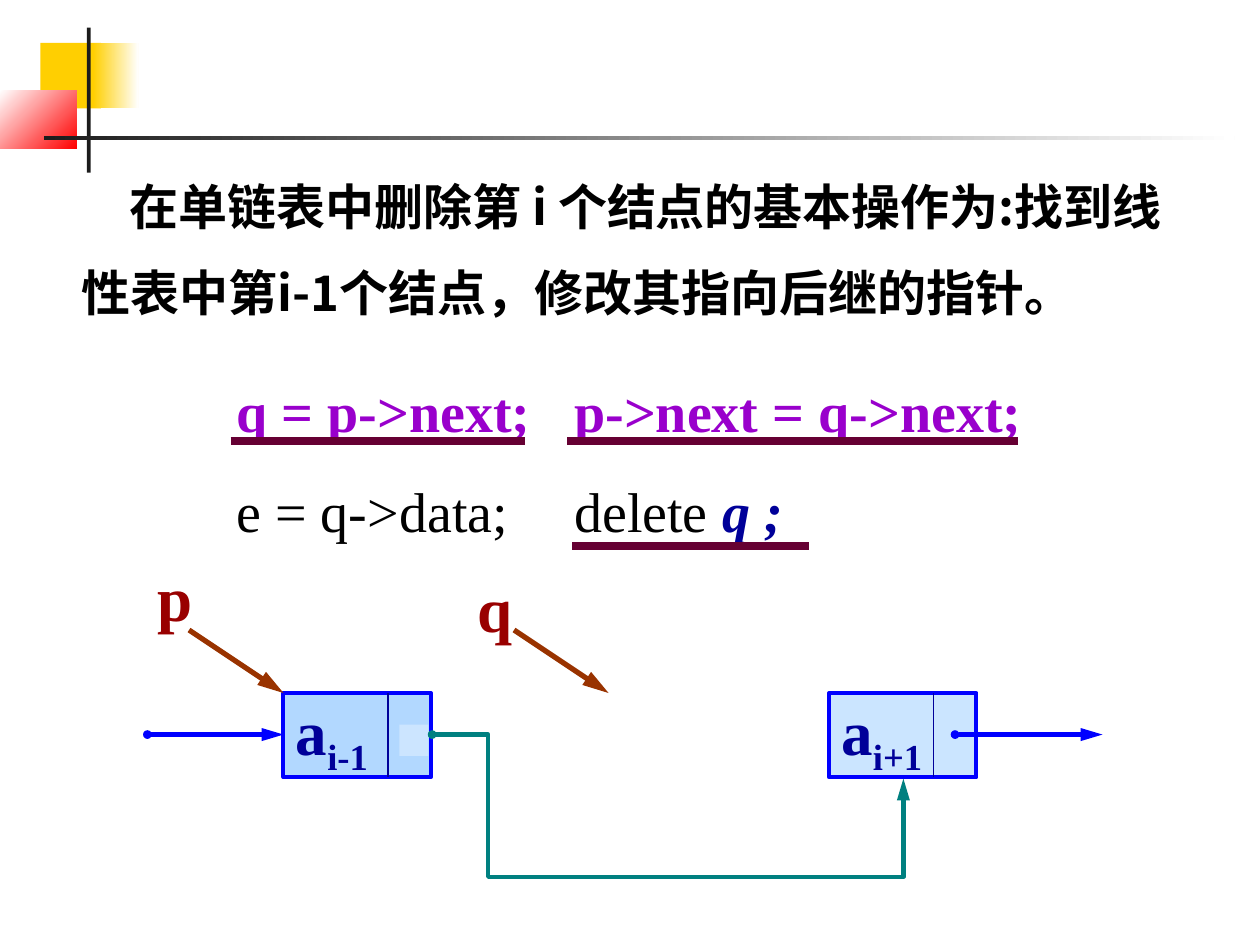
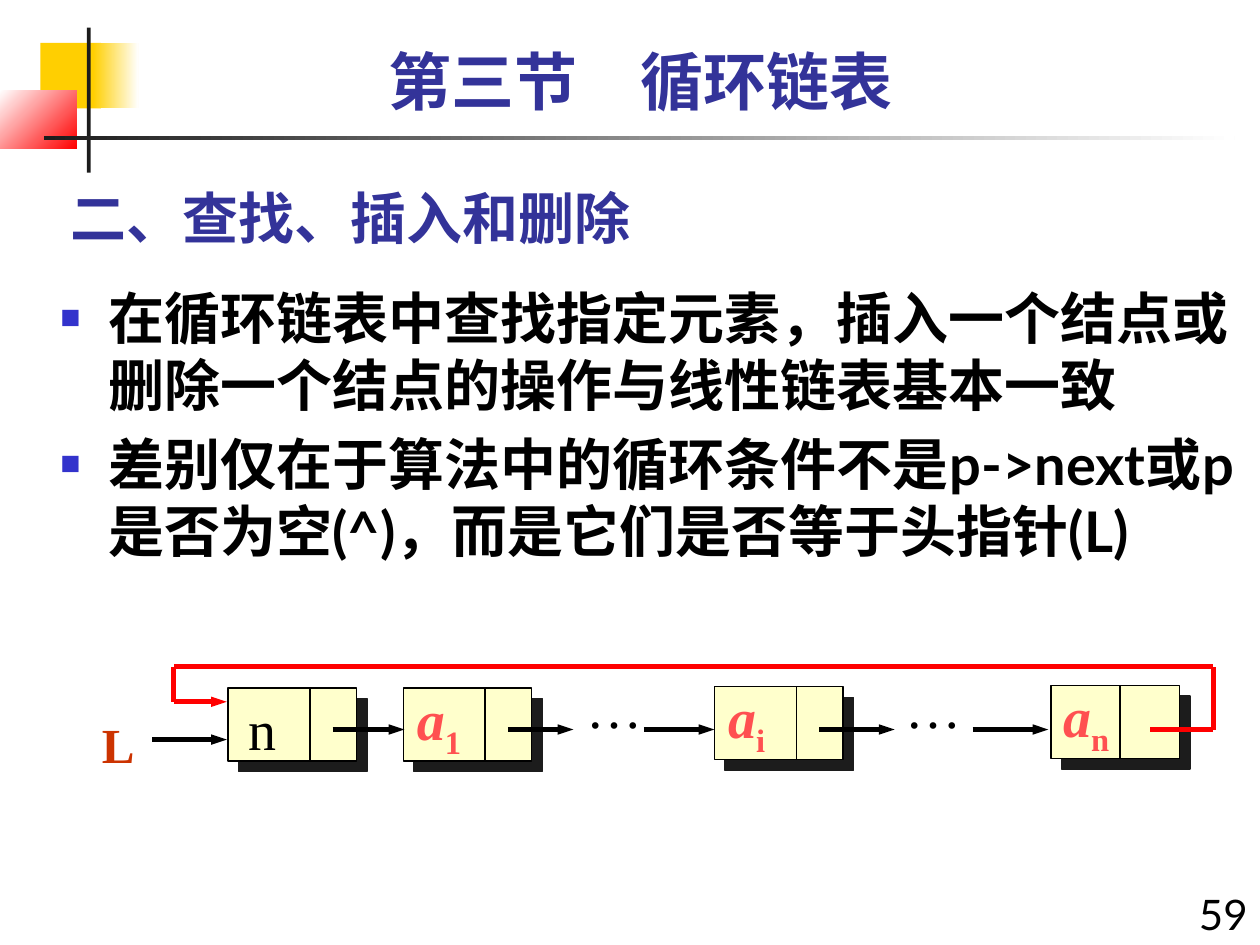
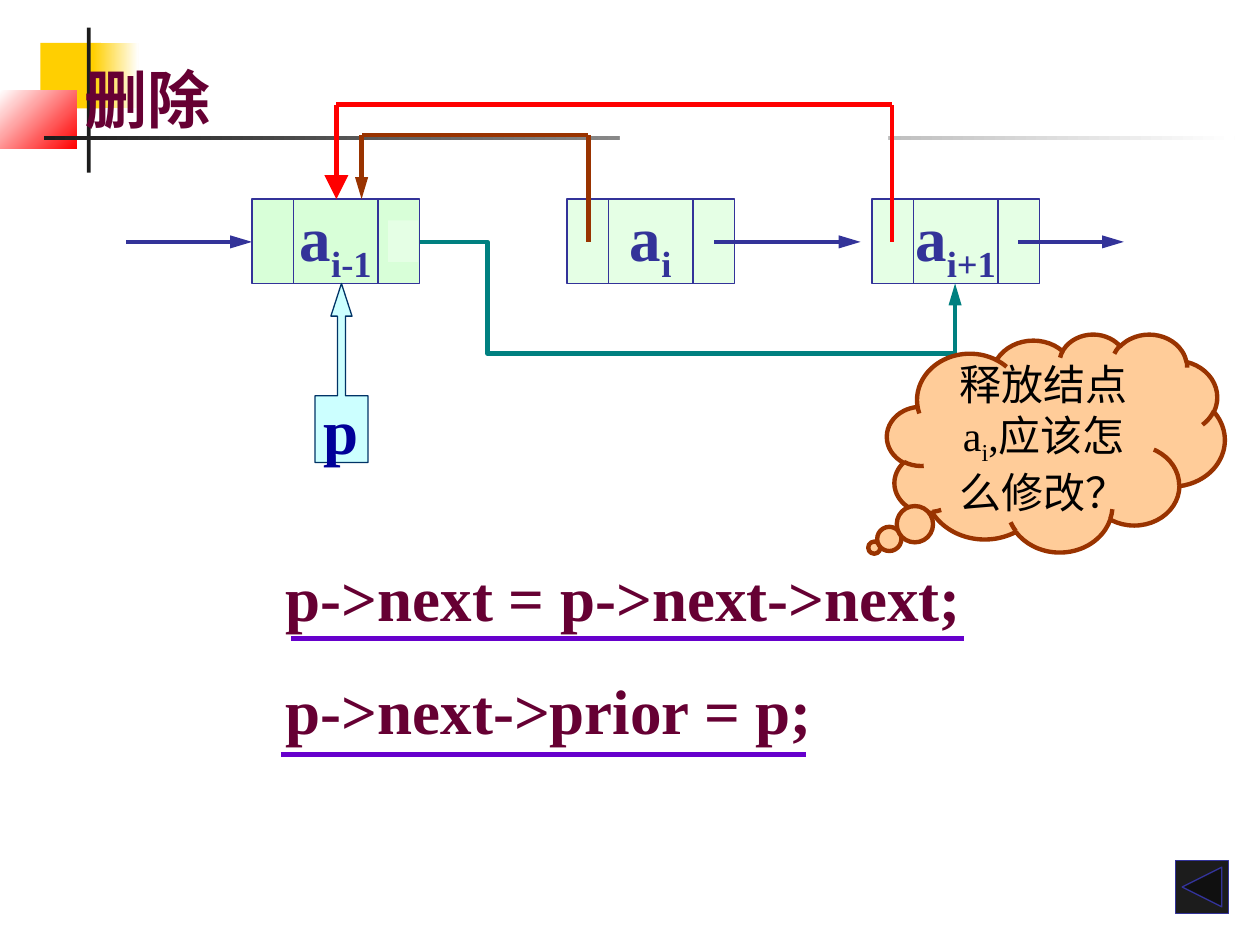
from dataclasses import dataclass
from itertools import pairwise
from typing import Optional

from lxml import etree
from pptx import Presentation
from pptx.dml.color import RGBColor
from pptx.enum import shapes, text
from pptx.oxml.ns import qn
from pptx.util import Inches, Pt

SHAPE = shapes.MSO_SHAPE
ALIGN = text.PP_ALIGN
ANCHOR = text.MSO_ANCHOR

TIMES, LATO, CJK = "Times New Roman", "Lato", "Noto Sans CJK SC"

BLACK = RGBColor(0x00, 0x00, 0x00)
WHITE = RGBColor(0xFF, 0xFF, 0xFF)
CHARCOAL = RGBColor(0x1C, 0x1C, 0x1C)
GOLD = RGBColor(0xFF, 0xCF, 0x01)
RED = RGBColor(0xFF, 0x00, 0x00)
BLUE = RGBColor(0x00, 0x00, 0xFF)
NAVY = RGBColor(0x00, 0x00, 0x99)
INDIGO = RGBColor(0x33, 0x33, 0x99)
BULLET_BLUE = RGBColor(0x33, 0x33, 0xCC)
PURPLE = RGBColor(0x99, 0x00, 0xCC)
VIOLET = RGBColor(0x66, 0x00, 0xCC)
MAROON = RGBColor(0x66, 0x00, 0x33)
DARK_RED = RGBColor(0x99, 0x00, 0x00)
BROWN = RGBColor(0x99, 0x33, 0x00)
RUST = RGBColor(0xCC, 0x33, 0x00)
CORAL = RGBColor(0xFF, 0x50, 0x50)
TEAL = RGBColor(0x00, 0x80, 0x80)
DEEP_BLUE = RGBColor(0x00, 0x33, 0x66)
SKY = RGBColor(0x99, 0xCC, 0xFF)
PALE_SKY = RGBColor(0xCC, 0xE5, 0xFF)
MINT = RGBColor(0xCC, 0xFF, 0xCC)
PALE_MINT = RGBColor(0xE5, 0xFF, 0xE5)
CREAM = RGBColor(0xFF, 0xFF, 0xCC)
AQUA = RGBColor(0xCC, 0xFF, 0xFF)
PEACH = RGBColor(0xFF, 0xCC, 0x99)

# Arrow ends: type, width, length
ARROW = ("triangle", "med", "lg")
SMALL_ARROW = ("triangle", "sm", "med")
LARGE_ARROW = ("triangle", "lg", "lg")
DOT = ("oval", "sm", "sm")


@dataclass
class Span:
    text: str
    sub: bool = False
    bold: Optional[bool] = None
    italic: Optional[bool] = None
    color: Optional[RGBColor] = None


def indexed(base, index, **style):
    return [Span(base, **style), Span(index, sub=True)]


def add_xml(parent, tag, **attributes):
    child = etree.SubElement(parent, qn(tag))
    for name, value in attributes.items():
        child.set(name, str(value))
    return child


def write(para, content, size, color, font=TIMES, bold=True, align=ALIGN.LEFT,
          spacing=None):
    """Fill a paragraph from a string or a list of spans."""
    spans = [Span(content)] if isinstance(content, str) else content
    para.alignment = align
    para.line_spacing = spacing
    para.font.size = Pt(size)
    para.font.bold = bold
    para.font.color.rgb = color
    para.font.name = font
    if any(ord(letter) > 0x2E80 for span in spans for letter in span.text):
        add_xml(para._p.pPr.find(qn("a:defRPr")), "a:ea", typeface=CJK)
    for span in spans:
        run = para.add_run()
        run.text = span.text
        if span.bold is not None:
            run.font.bold = span.bold
        if span.italic is not None:
            run.font.italic = span.italic
        if span.color is not None:
            run.font.color.rgb = span.color
        if span.sub:
            run._r.get_or_add_rPr().set("baseline", "-25000")


def insert_in_paragraph(para, elements):
    """Put bullet or tab elements in front of the paragraph's default font."""
    for element in elements:
        para._p.pPr.find(qn("a:defRPr")).addprevious(element)


def set_bullet(para):
    properties = para._p.pPr
    properties.set("marL", str(Inches(0.38)))
    properties.set("indent", str(Inches(-0.38)))
    color = etree.Element(qn("a:buClr"))
    add_xml(color, "a:srgbClr", val=BULLET_BLUE)
    size = etree.Element(qn("a:buSzPct"), val="60000")
    mark = etree.Element(qn("a:buChar"), char="■")
    insert_in_paragraph(para, [color, size, mark])


def set_tab(para, position):
    tabs = etree.Element(qn("a:tabLst"))
    add_xml(tabs, "a:tab", pos=Inches(position), algn="l")
    insert_in_paragraph(para, [tabs])


def place(shape, area):
    shape.left, shape.top, shape.width, shape.height = map(Inches, area)


def add_text(slide, area, lines, size, color, wrap=False, **style):
    box = slide.shapes.add_textbox(*map(Inches, area))
    frame = box.text_frame
    frame.word_wrap = wrap
    frame.auto_size = text.MSO_AUTO_SIZE.SHAPE_TO_FIT_TEXT
    for number, line in enumerate(lines):
        para = frame.add_paragraph() if number else frame.paragraphs[0]
        write(para, line, size, color, **style)
    return box


def add_box(slide, area, fill, line=None, width=0.75, kind=SHAPE.RECTANGLE,
            opacity=None, adjust=()):
    """Add a preset shape; a pair of fill colours makes a gradient."""
    box = slide.shapes.add_shape(kind, *map(Inches, area))
    box.shadow.inherit = False
    for number, value in enumerate(adjust):
        box.adjustments[number] = value
    if isinstance(fill, RGBColor):
        box.fill.solid()
        box.fill.fore_color.rgb = fill
    else:
        box.fill.gradient()
        box.fill.gradient_angle = 0
        for stop, color in zip(box.fill.gradient_stops, fill):
            stop.color.rgb = color
    if opacity:
        color = box.element.spPr.find(qn("a:solidFill")).find(qn("a:srgbClr"))
        add_xml(color, "a:alpha", val=opacity * 1000)
    if line is None:
        box.line.fill.background()
    else:
        box.line.color.rgb = line
        box.line.width = Pt(width)
    return box


def label(box, content, size, color, wrap=False, **style):
    """Write centred-height text inside a shape."""
    box.text_frame.word_wrap = wrap
    box.text_frame.vertical_anchor = ANCHOR.MIDDLE
    write(box.text_frame.paragraphs[0], content, size, color, **style)


def add_line(slide, start, end, color, width, head=None, tail=None,
             kind=shapes.MSO_CONNECTOR.STRAIGHT):
    line = slide.shapes.add_connector(kind, *map(Inches, (*start, *end)))
    line.line.color.rgb = color
    line.line.width = Pt(width)
    properties = line.element.spPr
    outline = properties.find(qn("a:ln"))
    for tag, tip in (("a:headEnd", head), ("a:tailEnd", tail)):
        if tip:
            add_xml(outline, tag, **dict(zip(("type", "w", "len"), tip)))
    add_xml(properties, "a:effectLst")
    return line


def add_route(slide, points, color, width, tail=None):
    """Join points by straight lines, with the arrow on the last one."""
    legs = list(pairwise(points))
    for leg in legs:
        add_line(slide, *leg, color, width, tail=tail if leg == legs[-1] else None)


def add_bypass(slide, start, end, bends, head=None):
    """Add the teal link that runs below the deleted node."""
    link = add_line(slide, start, end, TEAL, 2.5, head=head, tail=ARROW,
                    kind=shapes.MSO_CONNECTOR.ELBOW)
    geometry = link.element.spPr.find(qn("a:prstGeom"))
    geometry.set("prst", "bentConnector4")
    guides = geometry.find(qn("a:avLst"))
    if guides is None:
        guides = add_xml(geometry, "a:avLst")
    for number, bend in enumerate(bends, 1):
        add_xml(guides, "a:gd", name=f"adj{number}", fmla=f"val {round(bend * 100000)}")


def add_dividers(slide, area, offsets, color):
    left, top, _, height = area
    for offset in offsets:
        x = left + offset
        add_line(slide, (x, top), (x, top + height), color, 0.75)


def add_single_node(slide, left, index, opacity):
    area = (left, 5.5, 1.17, 0.67)
    box = add_box(slide, area, SKY, BLUE, 2.25, opacity=opacity)
    label(box, indexed("a", index), 36, NAVY)
    add_dividers(slide, area, [0.83], NAVY)


def add_double_node(slide, left, index, opacity=50):
    area = (left, 1.58, 1.33, 0.67)
    box = add_box(slide, area, MINT, INDIGO, opacity=opacity)
    label(box, indexed("a", index), 36, INDIGO, align=ALIGN.CENTER)
    add_dividers(slide, area, [0.33, 1], INDIGO)


def add_ring_node(slide, left, top, divider):
    area = (left, top, 1.02, 0.58)
    box = add_box(slide, area, CREAM, BLACK)
    effects = box.element.spPr.find(qn("a:effectLst"))
    shadow = add_xml(effects, "a:outerShdw", dist=Pt(8.5), dir=45 * 60000,
                     algn="ctr", rotWithShape=0)
    add_xml(shadow, "a:srgbClr", val=CHARCOAL)
    add_dividers(slide, area, [divider], BLACK)


def decorate_master(deck, slide):
    """Draw the corner squares and rules, then move them to the slide master."""
    parts = [
        add_box(slide, (0.32, 0.34, 0.48, 0.52), GOLD),
        add_box(slide, (0.74, 0.34, 0.36, 0.52), (GOLD, WHITE)),
        add_box(slide, (0, 0.72, 0.61, 0.46), (WHITE, RED)),
        add_box(slide, (0.69, 0.22, 0.03, 1.15), CHARCOAL),
        add_box(slide, (0.35, 1.08, 9.45, 0.03), (CHARCOAL, WHITE)),
    ]
    parts[2].fill.gradient_angle = 315
    first_placeholder = deck.slide_master.placeholders[0].element
    for part in parts:
        first_placeholder.addprevious(part.element)


def set_title(slide, area, words, size, color, anchor, **style):
    title = slide.shapes.title
    place(title, area)
    frame = title.text_frame
    frame.auto_size = text.MSO_AUTO_SIZE.NONE
    frame.vertical_anchor = anchor
    write(frame.paragraphs[0], words, size, color, **style)
    return title


def build_single_deletion(slide):
    intro = add_text(
        slide, (0.55, 0.89, 9.02, 1.6),
        ["在单链表中删除第 i 个结点的基本操作为:找到线性表中第i-1个结点，修改其指向后继的指针。"],
        28, BLACK, wrap=True, font=CJK, spacing=Pt(49))
    intro.text_frame.margin_top = Inches(0.3)
    intro.text_frame.margin_bottom = 0
    intro.text_frame.paragraphs[0]._p.pPr.set("indent", str(Inches(0.38)))

    add_single_node(slide, 2.25, "i-1", 75)
    add_box(slide, (3.17, 5.75, 0.23, 0.25), PALE_SKY)
    add_single_node(slide, 6.58, "i+1", 50)
    for start, end in ((1.17, 2.25), (7.58, 8.75)):
        add_line(slide, (start, 5.83), (end, 5.83), BLUE, 2.5, DOT, ARROW)
    add_bypass(slide, (3.43, 5.83), (7.17, 6.18), (0.119, 3.224), head=DOT)

    code = add_text(
        slide, (1.78, 2.67, 6.64, 1.7),
        ["q = p->next;\tp->next = q->next;",
         [Span("e = q->data;\tdelete ", bold=False, color=BLACK),
          Span("q ;", italic=True, color=NAVY)]],
        32, PURPLE, spacing=1.5)
    for para in code.text_frame.paragraphs:
        set_tab(para, 2.68)

    for name, left, top, arrow_left in (("p", 1.15, 4.38, 1.5), ("q", 3.69, 4.47, 4.08)):
        add_line(slide, (arrow_left, 5), (arrow_left + 0.75, 5.5), BROWN, 3, tail=ARROW)
        add_text(slide, (left, top, 0.48, 0.7), [name], 36, DARK_RED)
    for start, end, y in ((1.83, 4.17, 3.5), (4.5, 8.08, 3.5), (4.54, 6.42, 4.33)):
        add_line(slide, (start, y), (end, y), MAROON, 4.5)


def build_circular_list(slide):
    set_title(slide, (0.46, 1.29, 6.25, 0.75), "二、查找、插入和删除", 32, INDIGO,
              ANCHOR.BOTTOM, font=CJK)
    add_text(slide, (9.33, 7, 0.67, 0.5), ["59"], 24, BLACK, wrap=True, font=LATO,
             bold=False, align=ALIGN.RIGHT)
    add_text(slide, (0.46, 0.29, 9.25, 0.7), ["第三节\u3000循环链表"], 36, INDIGO,
             wrap=True, font=LATO, align=ALIGN.CENTER)

    body = slide.placeholders[1]
    place(body, (0.38, 2.2, 9.58, 4.25))
    frame = body.text_frame
    frame.auto_size = text.MSO_AUTO_SIZE.NONE
    points = ("在循环链表中查找指定元素，插入一个结点或删除一个结点的操作与线性链表基本一致",
              "差别仅在于算法中的循环条件不是p->next或p是否为空(^)，而是它们是否等于头指针(L)")
    for number, point in enumerate(points):
        para = frame.add_paragraph() if number else frame.paragraphs[0]
        write(para, point, 32, BLACK, font=LATO)
        set_bullet(para)

    for left, top, divider in ((1.81, 5.46, 0.65), (3.2, 5.46, 0.65),
                               (5.67, 5.45, 0.65), (8.34, 5.44, 0.55)):
        add_ring_node(slide, left, top, divider)
    for start, end, y in ((1.21, 1.8, 5.87), (2.64, 3.21, 5.79), (4.03, 4.55, 5.79),
                          (5.11, 5.67, 5.79), (6.5, 7.1, 5.79), (7.72, 8.32, 5.79)):
        add_line(slide, (start, y), (end, y), BLACK, 3, tail=SMALL_ARROW)

    add_text(slide, (1.81, 5.46, 0.48, 0.63), ["n"], 32, BLACK, wrap=True,
             bold=False, align=ALIGN.RIGHT)
    for index, left, top in (("1", 3.21, 5.38), ("i", 5.68, 5.37), ("n", 8.34, 5.36)):
        add_text(slide, (left, top, 0.57, 0.63), [indexed("a", index, italic=True)],
                 32, CORAL)
    add_text(slide, (0.71, 5.62, 0.46, 0.57), ["L"], 28, RUST)
    for left in (4.56, 7.09):
        add_text(slide, (left, 5.29, 0.55, 0.63), ["…"], 32, BLACK, wrap=True, bold=False)

    loop = [(9.13, 5.79), (9.63, 5.79), (9.63, 5.29), (1.38, 5.29), (1.38, 5.57), (1.8, 5.57)]
    add_route(slide, loop, RED, 3, SMALL_ARROW)


def build_double_deletion(slide):
    title = set_title(slide, (0.57, 0.43, 1.21, 0.7), "删除", 36, MAROON, ANCHOR.MIDDLE)
    title.text_frame.word_wrap = False

    add_box(slide, (4.92, 1, 2.13, 0.58), WHITE)
    add_double_node(slide, 2, "i-1", 75)
    add_box(slide, (3.08, 1.75, 0.24, 0.33), PALE_MINT)
    add_double_node(slide, 4.5, "i")
    add_double_node(slide, 6.92, "i+1")
    for start, end in ((1, 2), (5.67, 6.83), (8.08, 8.92)):
        add_line(slide, (start, 1.92), (end, 1.92), INDIGO, 2.5, tail=ARROW)

    add_text(slide, (2.17, 4.08, 5.56, 1.9),
             ["p->next = p->next->next;", "p->next->prior = p;"], 36, MAROON, spacing=1.5)
    for start, end, y in ((2.31, 7.65, 5.07), (2.23, 6.4, 5.99)):
        add_line(slide, (start, y), (end, y), VIOLET, 3)

    pointer = add_box(slide, (2.5, 2.25, 0.42, 1.42), AQUA, DEEP_BLUE,
                      kind=SHAPE.UP_ARROW_CALLOUT, adjust=(0.15, 0.2, 0.617, 0.373))
    label(pointer, "p", 36, NAVY, align=ALIGN.CENTER)

    add_route(slide, [(4.67, 1.92), (4.67, 1.07), (2.87, 1.07), (2.87, 1.58)],
              BROWN, 2.5, ARROW)
    add_bypass(slide, (3.33, 1.92), (7.58, 2.25), (0.127, 2.688))
    add_route(slide, [(7.08, 1.92), (7.08, 0.83), (2.67, 0.83), (2.67, 1.58)],
              RED, 2.75, LARGE_ARROW)

    add_box(slide, (9.33, 6.83, 0.42, 0.42), CHARCOAL, INDIGO,
            kind=SHAPE.ACTION_BUTTON_BACK_OR_PREVIOUS)
    cloud = add_box(slide, (7.04, 2.65, 2.68, 1.73), PEACH, BROWN, 2.5,
                    kind=SHAPE.CLOUD_CALLOUT, adjust=(-0.538, 0.481))
    label(cloud, [*indexed("释放结点a", "i"), Span(",应该怎么修改？")], 24, BLACK,
          wrap=True, bold=False, align=ALIGN.CENTER)


def main():
    deck = Presentation()
    deck.slide_width, deck.slide_height = Inches(10), Inches(7.5)
    content, title_only, blank = (deck.slide_layouts[number] for number in (1, 5, 6))

    first = deck.slides.add_slide(blank)
    decorate_master(deck, first)
    build_single_deletion(first)
    build_circular_list(deck.slides.add_slide(content))
    build_double_deletion(deck.slides.add_slide(title_only))
    deck.save("out.pptx")


if __name__ == "__main__":
    main()
